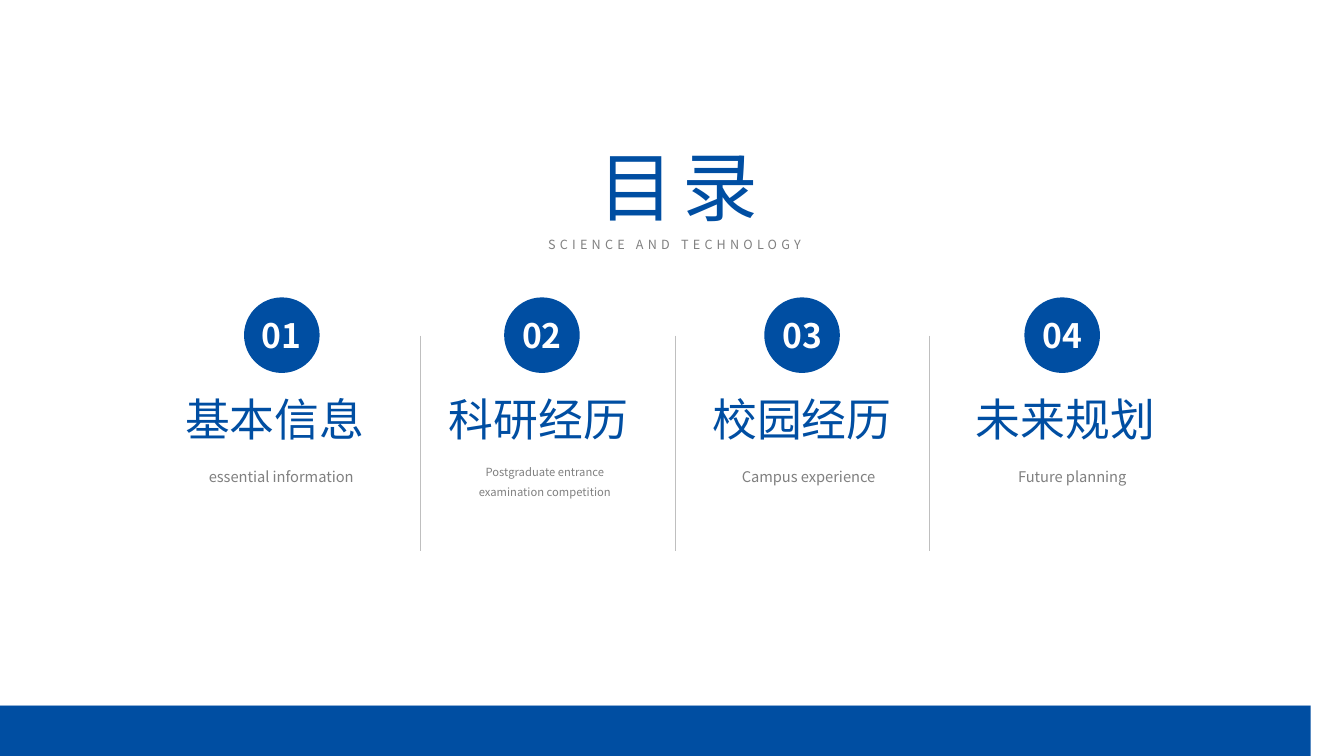
from lxml import etree
from pptx import Presentation
from pptx import util as u
from pptx.dml.color import RGBColor
from pptx.enum import shapes, text
from pptx.oxml import ns

BLUE = RGBColor(0x00, 0x4E, 0xA2)
GREY = RGBColor(0x80, 0x80, 0x80)
RULE_GREY = RGBColor(0xBF, 0xBF, 0xBF)
WHITE = RGBColor(0xFF, 0xFF, 0xFF)
WIDTH, HEIGHT = 13.33, 7.5

SECTIONS = [
    ("基本信息", "essential information", 10.5, 0.27),
    ("科研经历", "Postgraduate entrance examination competition", 8, 0.4),
    ("校园经历", "Campus experience", 10.5, 0.27),
    ("未来规划", "Future planning", 10.5, 0.27),
]

PAGE_EDGE = [
    (0, 6.88), (4.81, 6.88), (5.04, 6.89), (5.26, 6.9), (5.46, 6.91),
    (5.64, 6.92), (5.8, 6.93), (5.94, 6.95), (6.08, 6.97), (6.19, 6.99),
    (6.29, 7.01), (6.38, 7.03), (6.46, 7.05), (6.53, 7.07), (6.58, 7.09),
    (6.63, 7.11), (6.67, 7.12),
]
BOOK_EDGE = [
    (0, 7.02), (4.49, 7.02), (4.92, 7.03), (5.15, 7.03), (5.36, 7.04),
    (5.55, 7.05), (5.73, 7.07), (5.89, 7.08), (6.03, 7.1), (6.16, 7.12),
    (6.27, 7.14), (6.37, 7.16), (6.44, 7.18), (6.52, 7.2), (6.58, 7.22),
    (6.63, 7.24), (6.67, 7.26),
]


def write(frame, words, size=10.5, color=GREY, bold=False, tracking=0, spacing=1.0,
          inset=(0.1, 0.05), anchor=text.MSO_ANCHOR.TOP, wrap=True,
          fit=text.MSO_AUTO_SIZE.SHAPE_TO_FIT_TEXT, family="Noto Sans CJK SC"):
    frame.word_wrap = wrap
    frame.auto_size = fit
    frame.vertical_anchor = anchor
    frame.margin_left = frame.margin_right = u.Inches(inset[0])
    frame.margin_top = frame.margin_bottom = u.Inches(inset[1])
    paragraph = frame.paragraphs[0]
    paragraph.alignment = text.PP_ALIGN.CENTER
    paragraph.line_spacing = spacing
    run = paragraph.add_run()
    run.text = words
    run.font.size = u.Pt(size)
    run.font.bold = bold
    run.font.color.rgb = color
    run.font.name = family
    properties = run.font._element
    etree.SubElement(properties, ns.qn("a:ea")).set("typeface", family)
    if tracking:
        properties.set("spc", str(tracking * 100))


def mirrored(edge):
    return edge + [(WIDTH - x, y) for x, y in reversed(edge)]


class ContentsSlide:
    def __init__(self, deck):
        self.slide = deck.slides.add_slide(deck.slide_layouts[5])
        self.shapes = self.slide.shapes

    def paint(self, shape):
        shape.shadow.inherit = False
        shape.fill.solid()
        shape.fill.fore_color.rgb = BLUE
        shape.line.fill.background()

    def title(self, words, left, top, width, height, **style):
        heading = self.shapes.title
        heading.left, heading.top = u.Inches(left), u.Inches(top)
        heading.width, heading.height = u.Inches(width), u.Inches(height)
        write(heading.text_frame, words, **style)

    def label(self, words, left, top, width, height, **style):
        box = self.shapes.add_textbox(*map(u.Inches, (left, top, width, height)))
        write(box.text_frame, words, **style)

    def outline(self, points):
        builder = self.shapes.build_freeform(*points[0], scale=u.Inches(1))
        builder.add_line_segments(points[1:], close=True)
        self.paint(builder.convert_to_shape())

    def badge(self, number, left, top, size):
        circle = self.shapes.add_shape(
            shapes.MSO_SHAPE.OVAL, *map(u.Inches, (left, top, size, size)))
        self.paint(circle)
        write(circle.text_frame, number, size=24, color=WHITE, bold=True, inset=(0, 0),
              anchor=text.MSO_ANCHOR.MIDDLE, wrap=False, fit=text.MSO_AUTO_SIZE.NONE)

    def divider(self, x, top, bottom):
        rule = self.shapes.add_connector(
            shapes.MSO_CONNECTOR.STRAIGHT, *map(u.Inches, (x, top, x, bottom)))
        rule.line.color.rgb = RULE_GREY
        rule.line.width = u.Pt(0.5)
        etree.SubElement(rule._element.spPr, ns.qn("a:effectLst"))


def main():
    deck = Presentation()
    deck.slide_width, deck.slide_height = u.Inches(WIDTH), u.Inches(HEIGHT)
    contents = ContentsSlide(deck)

    upper = mirrored(PAGE_EDGE)
    lower = [(x, y + 0.05) for x, y in reversed(upper)]
    contents.outline(upper + lower)
    contents.outline(mirrored(BOOK_EDGE) + [(WIDTH, HEIGHT), (0, HEIGHT)])

    contents.label("SCIENCE AND TECHNOLOGY", 5.24, 2.3, 2.9, 0.25, size=9, tracking=3)
    contents.title("目录", 5.77, 1.34, 1.92, 1.01, size=54, color=BLUE, tracking=6)

    for index, (name, translation, size, height) in enumerate(SECTIONS):
        contents.badge(f"{index + 1:02}", 2.42 + 2.58 * index, 2.95, 0.75)
        if index:
            contents.divider(4.17 + 2.525 * (index - 1), 3.33, 5.47)
        column = 2.615 * index
        contents.label(name, 1.57 + column, 3.84, 2.31, 0.64, size=32, color=BLUE)
        contents.label(translation, 1.97 + column, 4.55, 1.64, height,
                       size=size, spacing=1.5, inset=(0, 0))

    deck.save("out.pptx")


if __name__ == "__main__":
    main()
